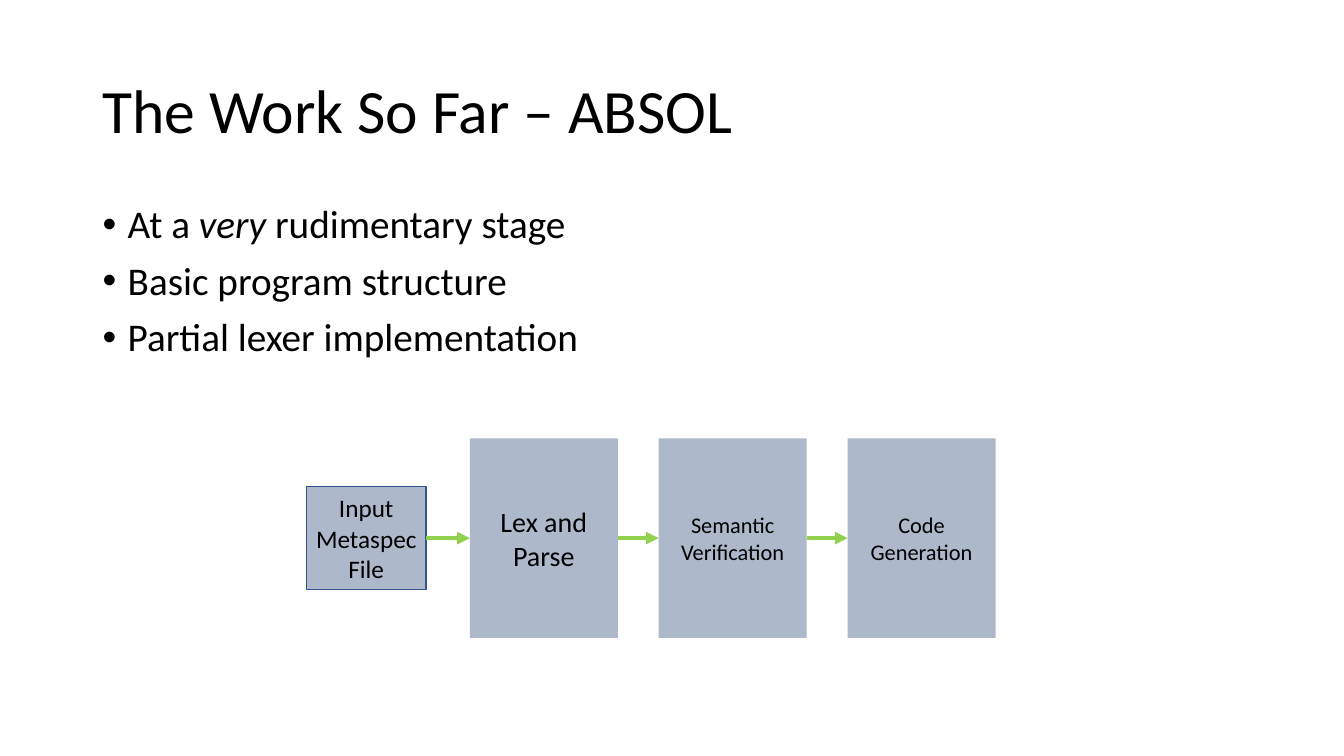
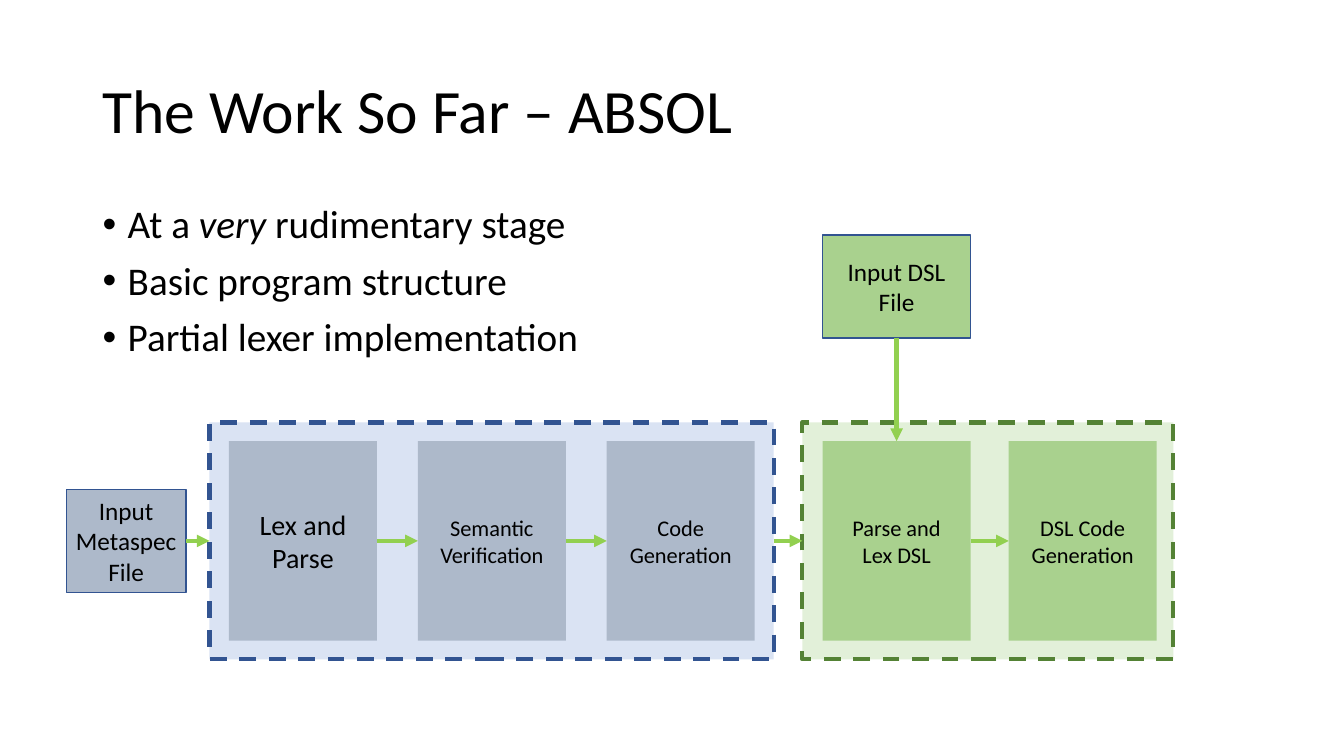
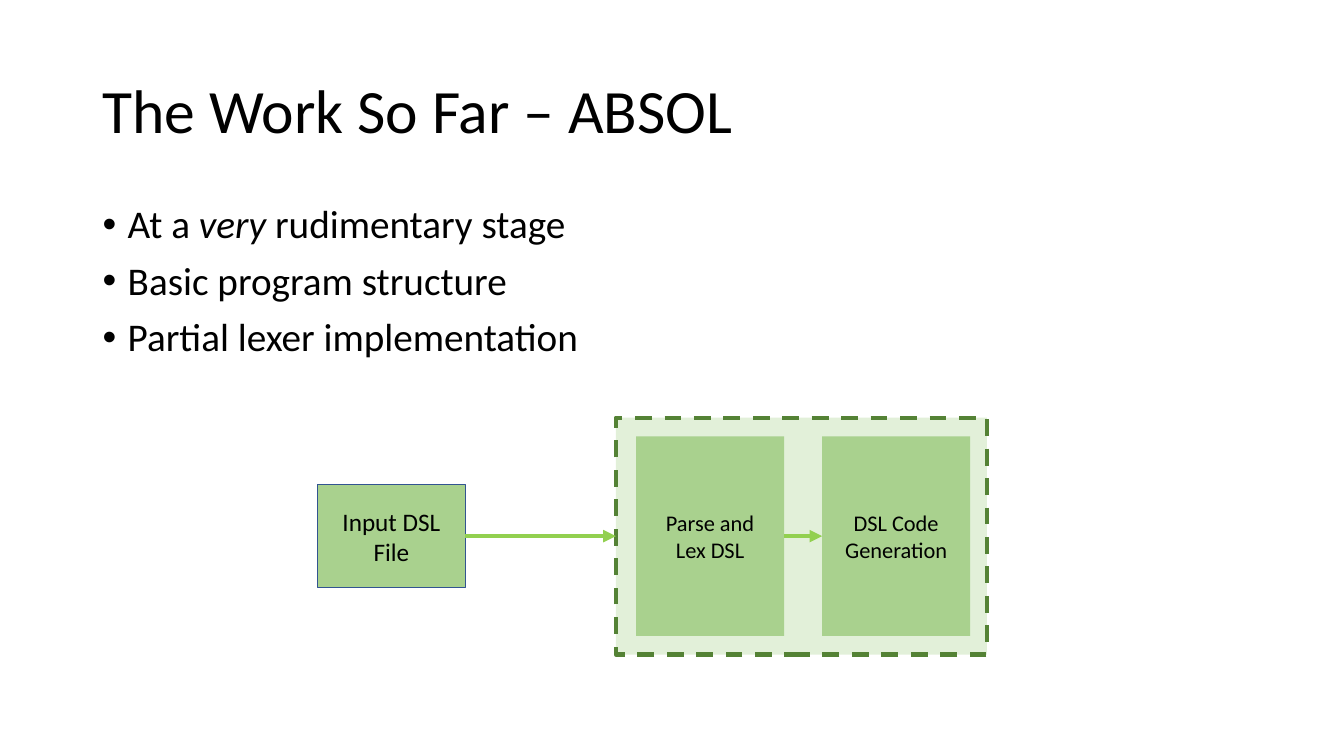
from pptx import Presentation
from pptx import util as u
from pptx.dml.color import RGBColor
from pptx.enum import dml, shapes, text
from pptx.oxml.ns import qn
from lxml import etree

# Shared style
FONT = "Calibri"
BLACK = "000000"
NAVY, BLUE, PALE_BLUE = "325491", "ADB9CA", "DAE3F3"
FOREST, GREEN, PALE_GREEN = "548235", "A9D18E", "E2F0D9"
ARROW = "92D050"

# Shared sizes in centimetres
STAGE_W, STAGE_H = 3.73, 5.03
FRAME_H = 5.97
FILE_H = 2.6
TOP, LEFT, BOTTOM, RIGHT = range(4)

TITLE = "The Work So Far – ABSOL"
BULLETS = [["At a ", "very ", "rudimentary stage"],
           ["Basic program structure"],
           ["Partial lexer implementation"]]
META_STAGES = [("Lex and Parse", 20), ("Semantic Verification", 16),
               ("Code Generation", 16)]
DSL_STAGES = [("Parse and Lex DSL", 16), ("DSL Code Generation", 16)]


def rgb(color):
    return RGBColor.from_string(color)


def place(sp, x, y, w, h):
    sp.left, sp.top, sp.width, sp.height = map(u.Cm, (x, y, w, h))


def style(p, size):
    for r in p.runs:
        r.font.name, r.font.size = FONT, u.Pt(size)
        r.font.color.rgb = rgb(BLACK)


def rect(s, x, y, w, h, fill, line=None, width=1, dash=False):
    sp = s.shapes.add_shape(shapes.MSO_SHAPE.RECTANGLE,
                            *map(u.Cm, (x, y, w, h)))
    sp.shadow.inherit = False
    sp.fill.solid()
    sp.fill.fore_color.rgb = rgb(fill)
    if line:
        sp.line.color.rgb = rgb(line)
        sp.line.width = u.Pt(width)
    else:
        sp.line.fill.background()
    if dash:
        sp.line.dash_style = dml.MSO_LINE.DASH
    return sp


def label(sp, words, size, inset):
    tf = sp.text_frame
    tf.word_wrap = True
    tf.margin_left = tf.margin_right = u.Cm(inset)
    tf.vertical_anchor = text.MSO_ANCHOR.MIDDLE
    tf.text = words
    p = tf.paragraphs[0]
    p.alignment = text.PP_ALIGN.CENTER
    style(p, size)


def arrow(s, start, end, sides=(RIGHT, LEFT)):
    c = s.shapes.add_connector(shapes.MSO_CONNECTOR.STRAIGHT, 0, 0, 0, 0)
    c.begin_connect(start, sides[0])
    c.end_connect(end, sides[1])
    c.line.color.rgb = rgb(ARROW)
    c.line.width = u.Pt(3)
    pr = c.element.spPr
    etree.SubElement(pr.find(qn("a:ln")), qn("a:tailEnd"), type="triangle")
    etree.SubElement(pr, qn("a:effectLst"))


def work_slide(prs):
    """Slide with the common title and bullet list."""
    s = prs.slides.add_slide(prs.slide_layouts[1])
    title, body = s.placeholders
    place(title, 2.33, 1.01, 29.21, 3.68)
    title.text_frame.text = TITLE
    title.text_frame.vertical_anchor = text.MSO_ANCHOR.MIDDLE
    p = title.text_frame.paragraphs[0]
    p.alignment = text.PP_ALIGN.LEFT
    p.line_spacing = 0.9
    style(p, 44)

    place(body, 2.33, 5.04, 15.57, 4.75)
    tf = body.text_frame
    tf.auto_size = text.MSO_AUTO_SIZE.NONE
    for i, parts in enumerate(BULLETS):
        p = tf.add_paragraph() if i else tf.paragraphs[0]
        for part in parts:
            p.add_run().text = part
        p.line_spacing, p.space_before = 0.9, u.Pt(10)
        pr = p._p.get_or_add_pPr()
        pr.set("marL", str(u.Cm(0.635)))
        pr.set("indent", str(-u.Cm(0.635)))
        style(p, 28)
    tf.paragraphs[0].runs[1].font.italic = True
    return s


def stages(s, x, mid, steps, fill, gap):
    """Row of joined stages starting at x, centred on height mid."""
    boxes = []
    for i, (words, size) in enumerate(steps):
        sp = rect(s, x + i * (STAGE_W + gap), mid - STAGE_H / 2,
                  STAGE_W, STAGE_H, fill)
        label(sp, words, size, 0.42)
        boxes.append(sp)
    for start, end in zip(boxes, boxes[1:]):
        arrow(s, start, end)
    return boxes


def meta_stages(s, x, mid):
    return stages(s, x, mid, META_STAGES, BLUE, 1.03)


def frame(s, x, mid, w, fill, line):
    return rect(s, x, mid - FRAME_H / 2, w, FRAME_H, fill, line, 3, True)


def dsl_group(s, x, mid):
    """Dashed green frame with the two DSL stages."""
    outer = frame(s, x, mid, 9.35, PALE_GREEN, FOREST)
    return outer, stages(s, x + 0.51, mid, DSL_STAGES, GREEN, 0.96)


def input_file(s, x, mid, words, w, fill, inset):
    sp = rect(s, x, mid - FILE_H / 2, w, FILE_H, fill, NAVY)
    label(sp, words, 18, inset)
    return sp


def meta_file(s, x, mid):
    return input_file(s, x, mid, "Input Metaspec File", 3.02, BLUE, 0.1)


def dsl_file(s, x, mid):
    return input_file(s, x, mid, "Input DSL File", STAGE_W, GREEN, 0.55)


def metaspec_slide(prs):
    s, mid = work_slide(prs), 13.56
    boxes = meta_stages(s, 11.84, mid)
    arrow(s, meta_file(s, 7.72, mid), boxes[0])


def full_slide(prs):
    s, mid = work_slide(prs), 13.63
    meta = frame(s, 5.28, mid, 14.22, PALE_BLUE, NAVY)
    meta_stages(s, 5.77, mid)
    dsl, boxes = dsl_group(s, 20.22, mid)
    arrow(s, meta_file(s, 1.67, mid), meta)
    arrow(s, meta, dsl)
    arrow(s, dsl_file(s, 20.73, 7.22), boxes[0], (BOTTOM, TOP))


def dsl_slide(prs):
    s, mid = work_slide(prs), 13.51
    outer, _ = dsl_group(s, 15.52, mid)
    arrow(s, dsl_file(s, 8, mid), outer)


def main():
    prs = Presentation()
    prs.slide_width, prs.slide_height = u.Cm(33.87), u.Cm(19.05)
    metaspec_slide(prs)
    full_slide(prs)
    dsl_slide(prs)
    prs.save("out.pptx")


if __name__ == "__main__":
    main()
